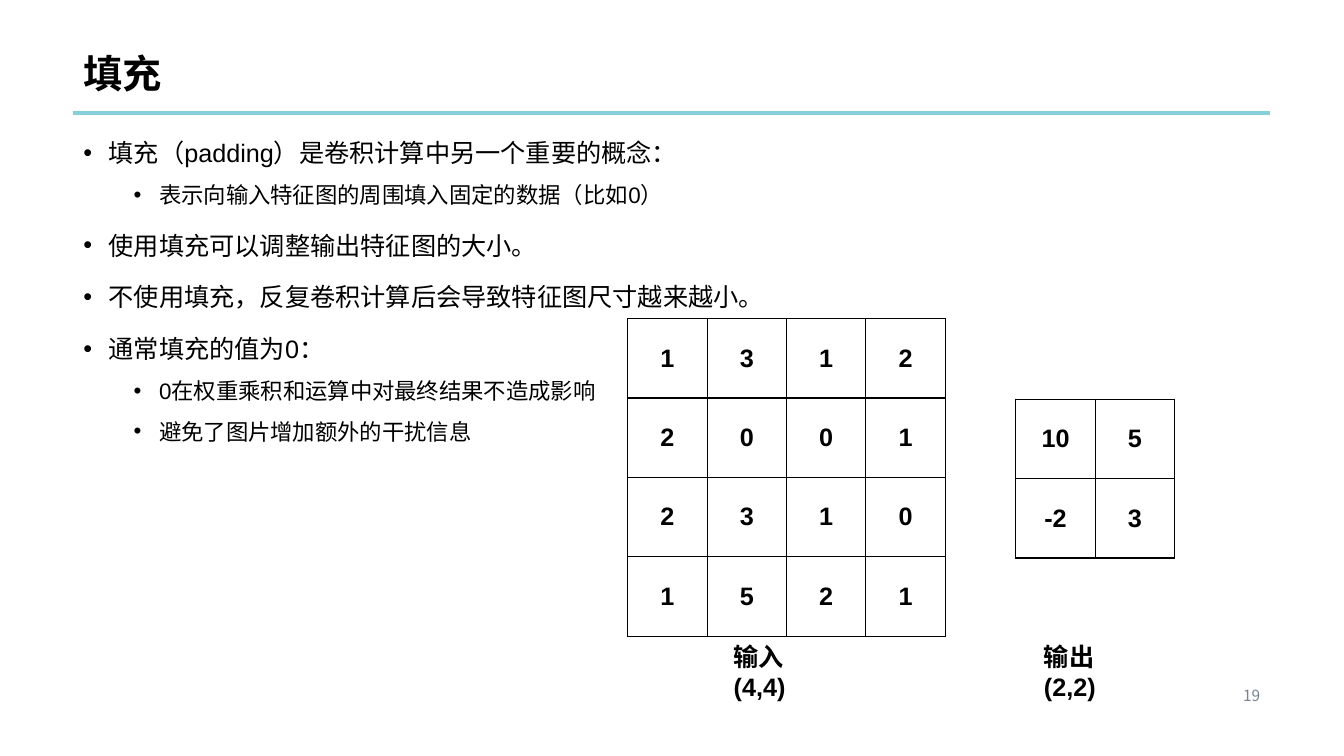
from dataclasses import dataclass

from lxml import etree
from pptx import Presentation
from pptx.dml.color import RGBColor
from pptx.enum import shapes, text
from pptx.oxml import ns
from pptx.util import Cm, Pt


@dataclass(frozen=True)
class Theme:
    latin: str = "Arial"
    asian: str = "Noto Sans CJK SC"
    ink: str = "000000"
    paper: str = "FFFFFF"
    rule: str = "86D0DB"
    grey: str = "768394"
    title: int = 28
    body: int = 18
    sub: int = 16
    small: int = 11


THEME = Theme()
CELL = 2.0

POINTS = [
    (0, "填充（padding）是卷积计算中另一个重要的概念："),
    (1, "表示向输入特征图的周围填入固定的数据（比如0）"),
    (0, "使用填充可以调整输出特征图的大小。"),
    (0, "不使用填充，反复卷积计算后会导致特征图尺寸越来越小。"),
    (0, "通常填充的值为0："),
    (1, "0在权重乘积和运算中对最终结果不造成影响"),
    (1, "避免了图片增加额外的干扰信息"),
]
INPUT = [[1, 3, 1, 2], [2, 0, 0, 1], [2, 3, 1, 0], [1, 5, 2, 1]]
OUTPUT = [[10, 5], [-2, 3]]


def add_sub(node, tag, **attrs):
    return etree.SubElement(node, ns.qn(tag), attrs)


def add_run(para, words, size, bold=False, color=THEME.ink, latin=THEME.latin):
    run = para.add_run()
    run.text = words
    font = run.font
    font.name, font.size, font.bold = latin, Pt(size), bold
    font.color.rgb = RGBColor.from_string(color)
    add_sub(font._element, "a:ea", typeface=THEME.asian)


def add_box(slide, left, top, width, height, wrap=True):
    box = slide.shapes.add_textbox(Cm(left), Cm(top), Cm(width), Cm(height))
    box.text_frame.word_wrap = wrap
    return box.text_frame


def add_title(slide, words):
    frame = add_box(slide, 1.85, 0, 30.15, 2.57)
    frame.vertical_anchor = text.MSO_ANCHOR.BOTTOM
    para = frame.paragraphs[0]
    para.line_spacing = 0.9
    add_run(para, words, THEME.title, bold=True)


def add_rule(slide):
    line = slide.shapes.add_connector(
        shapes.MSO_CONNECTOR.STRAIGHT, Cm(1.85), Cm(2.85), Cm(32), Cm(2.85))
    line.line.color.rgb = RGBColor.from_string(THEME.rule)
    line.line.width = Pt(3)
    add_sub(line._element.spPr, "a:effectLst")


def add_points(slide, points):
    frame = add_box(slide, 1.85, 3.15, 30.15, 13.92)
    for i, (level, words) in enumerate(points):
        para = frame.add_paragraph() if i else frame.paragraphs[0]
        para.level = level
        props = para._p.get_or_add_pPr()
        props.set("marL", str(Cm(1.91 if level else 0.64)))
        props.set("indent", str(-Cm(0.64)))
        add_sub(props, "a:buFont", typeface=THEME.latin)
        add_sub(props, "a:buChar", char="•")
        para.line_spacing = 1.25
        if i:
            para.space_before = Pt(5 if level else 10)
        add_run(para, words, THEME.sub if level else THEME.body)


def add_border(cell):
    props = cell._tc.get_or_add_tcPr()
    for side in "LRTB":
        edge = add_sub(props, f"a:ln{side}", w=str(Pt(1)))
        fill = add_sub(edge, "a:solidFill")
        add_sub(fill, "a:srgbClr", val=THEME.ink)


def add_grid(slide, left, top, rows):
    """Draw a matrix as a table of square cells."""
    high, wide = len(rows), len(rows[0])
    table = slide.shapes.add_table(
        high, wide, Cm(left), Cm(top), Cm(CELL * wide), Cm(CELL * high)).table
    table.first_row = table.horz_banding = False
    for r, row in enumerate(rows):
        for c, value in enumerate(row):
            cell = table.cell(r, c)
            add_border(cell)
            cell.fill.solid()
            cell.fill.fore_color.rgb = RGBColor.from_string(THEME.paper)
            cell.vertical_anchor = text.MSO_ANCHOR.MIDDLE
            para = cell.text_frame.paragraphs[0]
            para.alignment = text.PP_ALIGN.CENTER
            add_run(para, str(value), THEME.body, bold=True)


def add_label(slide, left, name, size):
    para = add_box(slide, left, 16.03, 3.12, 1.02).paragraphs[0]
    add_run(para, name, THEME.body, bold=True)
    para.add_line_break()
    add_run(para, size, THEME.body, bold=True)


def add_number(slide, number):
    para = add_box(slide, 27.84, 17.17, 4.17, 0.74).paragraphs[0]
    para.alignment = text.PP_ALIGN.RIGHT
    add_run(para, number, THEME.small, color=THEME.grey, latin=THEME.asian)


def main():
    deck = Presentation()
    deck.slide_width, deck.slide_height = Cm(33.87), Cm(19.05)
    slide = deck.slides.add_slide(deck.slide_layouts[6])
    add_rule(slide)
    add_number(slide, "19")
    add_title(slide, "填充")
    add_points(slide, POINTS)
    add_grid(slide, 15.82, 8.03, INPUT)
    add_label(slide, 18.24, "输入", "(4,4)")
    add_grid(slide, 25.6, 10.06, OUTPUT)
    add_label(slide, 26.06, "输出", "(2,2)")
    deck.save("out.pptx")


if __name__ == "__main__":
    main()
